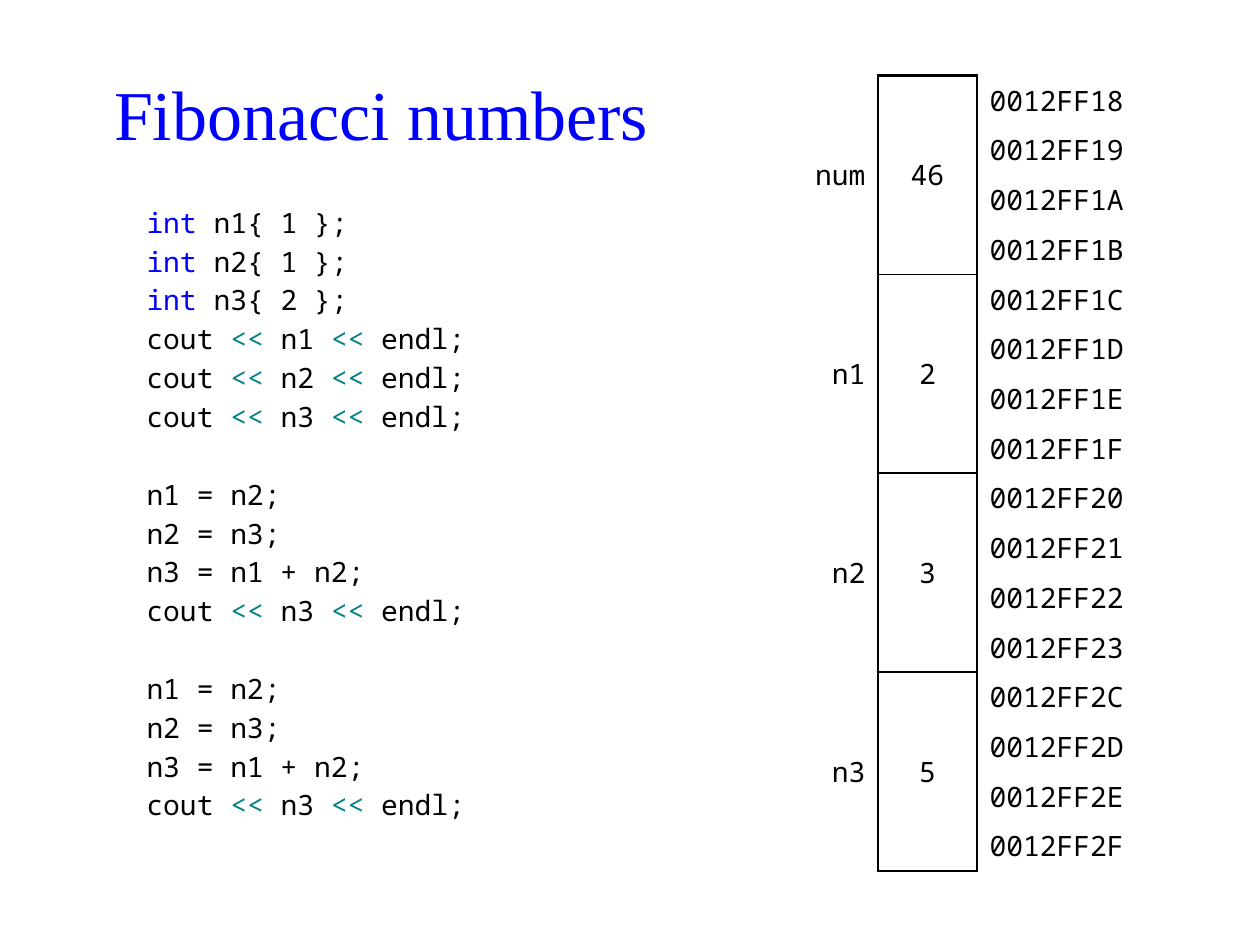
"""Build the Fibonacci slide: a code listing beside a map of its memory."""
from lxml.etree import SubElement
from pptx import Presentation
from pptx.dml.color import RGBColor
from pptx.enum.text import MSO_ANCHOR as Anchor, PP_ALIGN as Align
from pptx.oxml.ns import qn
from pptx.util import Inches, Pt

WIDTH, HEIGHT = Inches(10), Inches(7.5)
BLACK = RGBColor(0, 0, 0)
BLUE = RGBColor(0, 0, 255)
TEAL = RGBColor(0, 128, 128)
TOKEN_COLORS = {"int": BLUE, "<<": TEAL}
TITLE_FONT = {"name": "Times New Roman", "size": Pt(40)}
CODE_FONT = {"name": "Noto Sans Mono", "size": Pt(16)}
PLAIN_TABLE = "{2D5ABB26-0587-4C30-8999-92F81FD0307C}"
THICK, THIN = Pt(1.5), Pt(1)
LINE_GAP, BLOCK_GAP = Pt(3), Pt(25.2)

STEP = ["n1 = n2;", "n2 = n3;", "n3 = n1 + n2;", "cout << n3 << endl;"]
START = [f"int n{i}{{ {value} }};" for i, value in enumerate((1, 1, 2), 1)]
START += [f"cout << n{i} << endl;" for i in (1, 2, 3)]
BLOCKS = [START, STEP, STEP]
VARIABLES = [("num", "46", 0x12FF18), ("n1", "2", 0x12FF1C),
             ("n2", "3", 0x12FF20), ("n3", "5", 0x12FF2C)]
BYTES = 4


def share(left, top, width, height):
    """Turn percentages of the slide into a position and a size."""
    return [int(total * percent / 100) for total, percent in
            zip((WIDTH, HEIGHT) * 2, (left, top, width, height))]


def apply(target, values):
    """Set each named value on the target."""
    for name, value in values.items():
        setattr(target, name, value)


def add_run(paragraph, text, font, color=BLACK):
    """Append text in the given font and colour."""
    run = paragraph.add_run()
    run.text = text
    apply(run.font, font)
    run.font.color.rgb = color


def add_frame(slide, area, anchor):
    """Add a wrapping text box and return its text frame."""
    frame = slide.shapes.add_textbox(*share(*area)).text_frame
    apply(frame, {"word_wrap": True, "vertical_anchor": anchor})
    return frame


def add_title(slide, text):
    """Add the centred heading."""
    heading = add_frame(slide, (6.6, 5.33, 47.3, 13.07), Anchor.MIDDLE).paragraphs[0]
    heading.alignment = Align.CENTER
    add_run(heading, text, TITLE_FONT, BLUE)


def add_code(slide, blocks):
    """Add the listing, one paragraph a line, with coloured tokens."""
    listing = add_frame(slide, (10.65, 21.07, 27.6, 68.27), Anchor.TOP)
    for block_index, block in enumerate(blocks):
        for line_index, line in enumerate(block):
            starts_block = line_index == 0
            first = starts_block and block_index == 0
            paragraph = listing.paragraphs[0] if first else listing.add_paragraph()
            paragraph.space_before = BLOCK_GAP if starts_block and not first else LINE_GAP
            tokens = line.split(" ")
            for position, token in enumerate(tokens, 1):
                space = " " if position < len(tokens) else ""
                add_run(paragraph, token + space, CODE_FONT, TOKEN_COLORS.get(token, BLACK))


def fill_cell(cell, text, alignment):
    """Write one unfilled, vertically centred cell."""
    cell.fill.background()
    apply(cell, {"vertical_anchor": Anchor.MIDDLE,
                 "margin_top": Inches(0.04), "margin_bottom": Inches(0.04)})
    paragraph = cell.text_frame.paragraphs[0]
    paragraph.alignment = alignment
    add_run(paragraph, text, CODE_FONT)


def add_borders(cell, edges):
    """Draw black edges, given as widths keyed L, R, T and B in that order."""
    properties = cell._tc.get_or_add_tcPr()
    for index, (edge, width) in enumerate(edges.items()):
        line = properties.makeelement(qn(f"a:ln{edge}"), {"w": str(width)})
        fill = SubElement(line, qn("a:solidFill"))
        SubElement(fill, qn("a:srgbClr"), val=str(BLACK))
        properties.insert(index, line)


def add_memory(slide, variables):
    """Add the table of names, values and byte addresses."""
    rows = len(variables) * BYTES
    area = share(61.8, 8, 31.5, 84.2)
    memory = slide.shapes.add_table(rows, 3, *area).table
    apply(memory, {"first_row": False, "horz_banding": False})
    memory._tbl.tblPr.find(qn("a:tableStyleId")).text = PLAIN_TABLE
    for column, quarters in zip(memory.columns, (1, 1, 2)):
        column.width = area[2] * quarters // 4
    for index, (name, value, address) in enumerate(variables):
        top = index * BYTES
        bottom = top + BYTES - 1
        for column, text, alignment in ((0, name, Align.RIGHT), (1, value, Align.CENTER)):
            memory.cell(top, column).merge(memory.cell(bottom, column))
            fill_cell(memory.cell(top, column), text, alignment)
        for offset in range(BYTES):
            row = top + offset
            fill_cell(memory.cell(row, 2), f"{address + offset:08X}", Align.LEFT)
            add_borders(memory.cell(row, 0), {"R": THICK})
            edges = {"L": THICK, "R": THICK}
            if offset == 0:
                edges["T"] = THICK if row == 0 else THIN
            if offset in (0, BYTES - 1):
                edges["B"] = THICK if bottom == rows - 1 else THIN
            add_borders(memory.cell(row, 1), edges)


def main():
    """Build and save the slide."""
    deck = Presentation()
    apply(deck, {"slide_width": WIDTH, "slide_height": HEIGHT})
    slide = deck.slides.add_slide(deck.slide_layouts[6])
    add_title(slide, "Fibonacci numbers")
    add_code(slide, BLOCKS)
    add_memory(slide, VARIABLES)
    deck.save("out.pptx")


if __name__ == "__main__":
    main()
